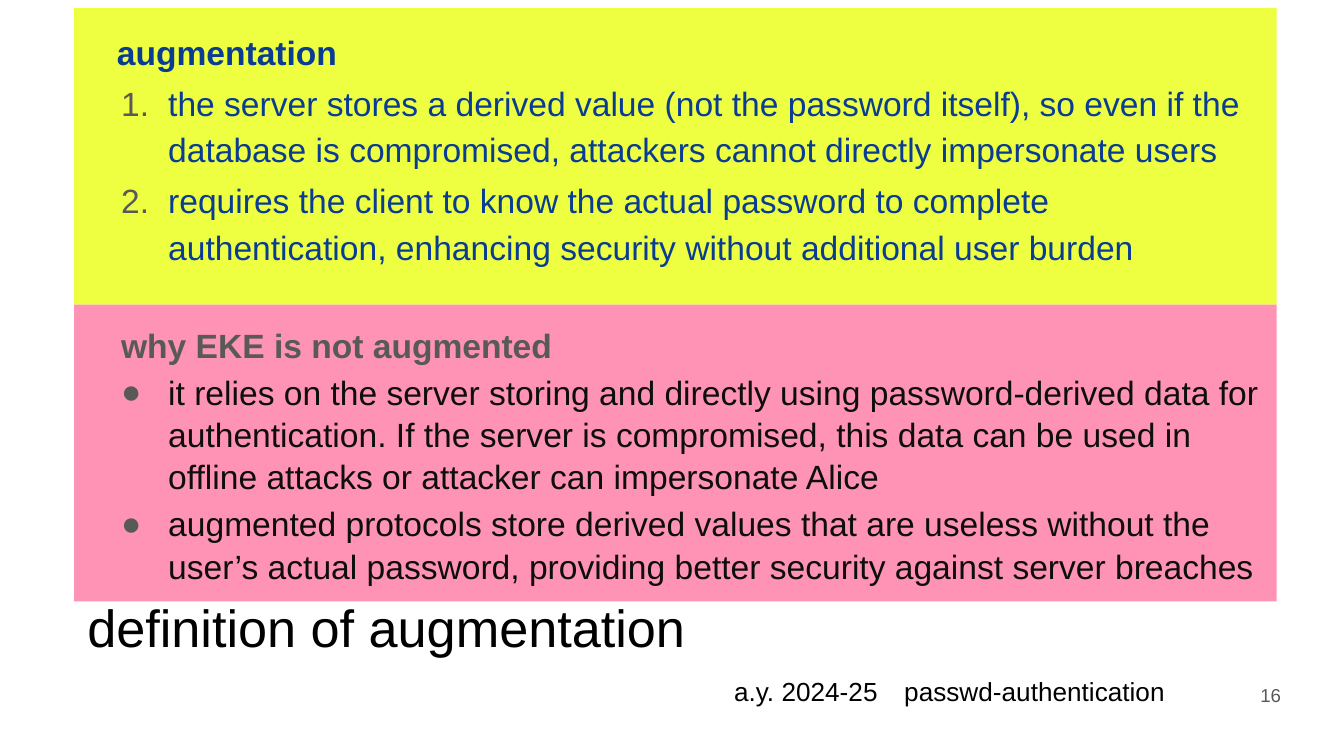
"""Build the slide that defines augmentation and contrasts it with EKE."""
import pptx
import pptx.util
import pptx.dml.color
import pptx.enum.shapes
import pptx.enum.text
import pptx.oxml.ns
import lxml.etree

Cm, Pt = pptx.util.Cm, pptx.util.Pt
Align = pptx.enum.text.PP_ALIGN
Anchor = pptx.enum.text.MSO_ANCHOR
FONT = "Arial"
HUES = {"black": "000000", "gray": "595959", "ink": "0E0E0E",
        "navy": "093C92", "lime": "EEFF41", "pink": "FF93B5"}

TITLE = "definition of augmentation"
PANELS = [
    {"fill": "lime", "lead": 1.15, "inset": 0.3, "mark": ("buAutoNum", "type", "arabicPeriod"),
     "head": ("augmentation", "navy"), "hue": "navy",
     "items": [
         "the server stores a derived value (not the password itself), so even if the "
         "database is compromised, attackers cannot directly impersonate users",
         "requires the client to know the actual password to complete authentication, "
         "enhancing security without additional user burden"]},
    {"fill": "pink", "lead": 1.05, "inset": 0.38, "mark": ("buChar", "char", "●"),
     "head": ("why EKE is not augmented", "gray"), "hue": "ink",
     "items": [
         "it relies on the server storing and directly using password-derived data for "
         "authentication. If the server is compromised, this data can be used in offline "
         "attacks or attacker can impersonate Alice",
         "augmented protocols store derived values that are useless without the user’s "
         "actual password, providing better security against server breaches"]},
]
FOOT = [("a.y. 2024-25", 6.35, Align.RIGHT, 14, "black"),
        ("passwd-authentication", 6.35, Align.LEFT, 14, "black"),
        ("16", 1.27, Align.RIGHT, 10, "gray")]

LEFT, WIDTH = 1.4, 22.73
TOP, HIGH = 0.15, 5.61


def tint(name):
    return pptx.dml.color.RGBColor.from_string(HUES[name])


def add_text(frame, text, size=18, hue="black", bold=False, align=Align.LEFT,
             lead=1.0, before=0, left=0, hang=0, mark=None):
    first = frame.paragraphs[0]
    para = first if not first.runs else frame.add_paragraph()
    props = para._p.get_or_add_pPr()
    props.set("marL", str(Cm(left)))
    props.set("indent", str(Cm(-hang)))
    para.alignment, para.line_spacing = align, lead
    para.space_before = Pt(before)
    if mark:
        tag, key, value = mark
        name = pptx.oxml.ns.qn
        shade = lxml.etree.SubElement(props, name("a:buClr"))
        lxml.etree.SubElement(shade, name("a:srgbClr")).set("val", HUES["gray"])
        lxml.etree.SubElement(props, name("a:buFont")).set("typeface", FONT)
        lxml.etree.SubElement(props, name("a:" + tag)).set(key, value)
    run = para.add_run()
    run.text = text
    font = run.font
    font.name, font.size, font.bold = FONT, Pt(size), bold
    font.color.rgb = tint(hue)


def set_frame(shape, anchor, left=0.25, top=0.13):
    frame = shape.text_frame
    frame.word_wrap, frame.vertical_anchor = True, anchor
    frame.margin_left, frame.margin_right = Cm(left), Cm(0.25)
    frame.margin_top, frame.margin_bottom = Cm(top), Cm(0.13)
    return frame


def add_label(slide, box, text, **style):
    label = slide.shapes.add_textbox(*map(Cm, box))
    add_text(set_frame(label, Anchor.BOTTOM), text, **style)


def add_panel(slide, top, panel):
    shape = slide.shapes.add_shape(pptx.enum.shapes.MSO_SHAPE.RECTANGLE,
                                   Cm(LEFT), Cm(top), Cm(WIDTH), Cm(HIGH))
    shape.shadow.inherit = False
    shape.fill.solid()
    shape.fill.fore_color.rgb = tint(panel["fill"])
    shape.line.fill.background()
    frame = set_frame(shape, Anchor.TOP, left=0.51, top=0.34)
    text, hue = panel["head"]
    add_text(frame, text, hue=hue, bold=True, lead=panel["lead"], left=panel["inset"])
    for item in panel["items"]:
        add_text(frame, item, hue=panel["hue"], lead=panel["lead"], before=2.5,
                 left=1.27, hang=0.89, mark=panel["mark"])


def main():
    deck = pptx.Presentation()
    deck.slide_width, deck.slide_height = Cm(25.4), Cm(14.29)
    slide = deck.slides.add_slide(deck.slide_layouts[6])
    add_label(slide, (LEFT, 10.39, WIDTH, 2.18), TITLE, size=28)
    for row, panel in enumerate(PANELS):
        add_panel(slide, TOP + row * HIGH, panel)
    left = 10.49
    for text, wide, align, size, hue in FOOT:
        add_label(slide, (left, 12.73, wide, 0.76), text, size=size, hue=hue, align=align)
        left += wide
    deck.save("out.pptx")


if __name__ == "__main__":
    main()
